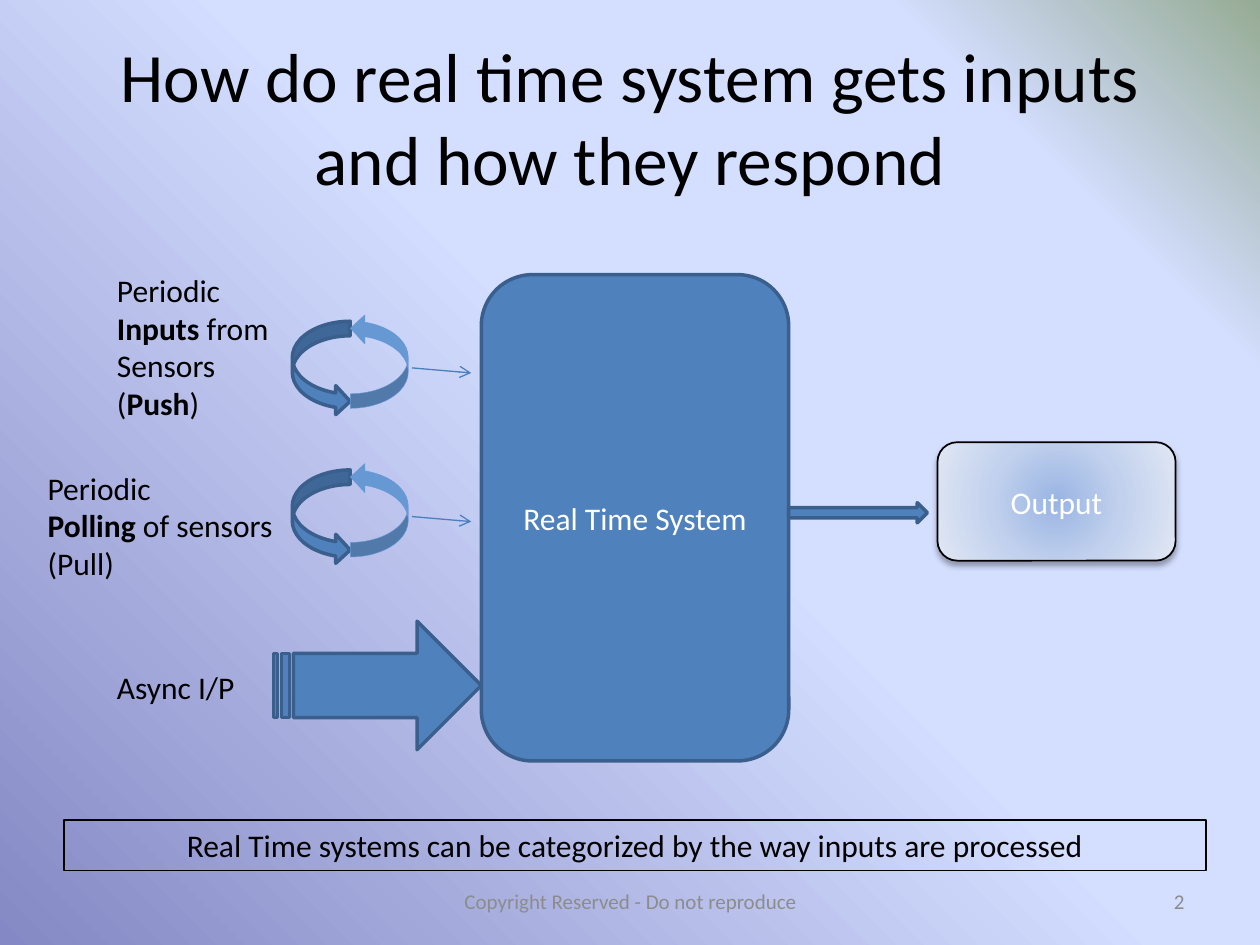
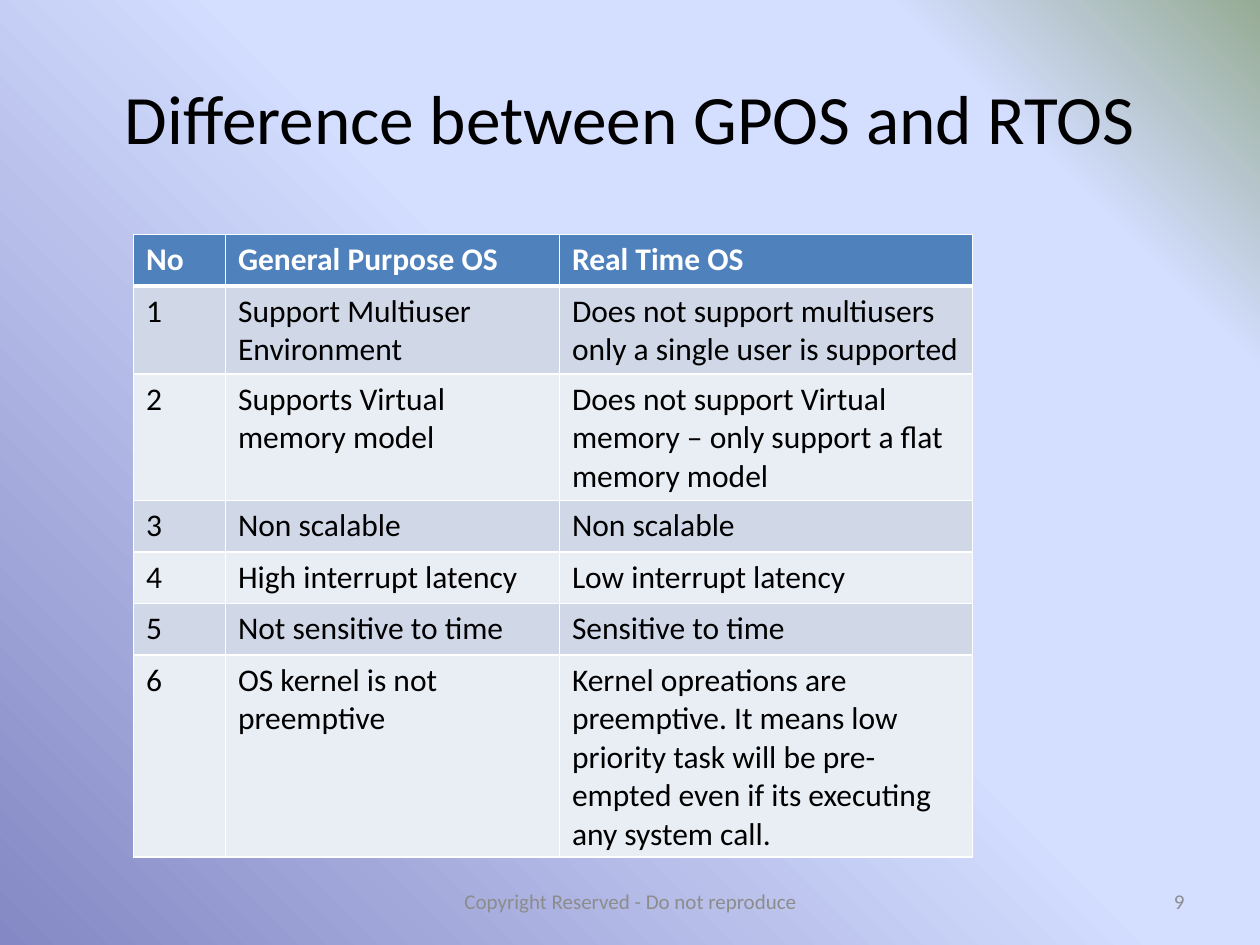
"""Two slides about real time systems: how inputs arrive, and GPOS against RTOS."""
from dataclasses import dataclass

from lxml import etree
from pptx import Presentation
from pptx.dml.color import RGBColor
from pptx.enum import shapes, text
from pptx.oxml import ns
from pptx.util import Inches, Pt

FONT = "Calibri"
COLORS = {
    "black": "000000", "white": "FFFFFF", "footer": "8C8C8C",
    "blue": "4F81BD", "outline": "3A5F8C", "return": "6698D4",
    "link": "4B7EBC", "band_odd": "D0D8E8", "band_even": "E9EDF4",
}
BACKGROUND = [(0, "8488C4"), (53, "D4DEFF"), (83, "D4DEFF"), (100, "96AB94")]
OUTPUT_GLOW = [(0, "9AB5E4"), (50, "C2D1ED"), (100, "E1E8F5")]
SHAPE = shapes.MSO_SHAPE
LEFT, CENTER, RIGHT = (text.PP_ALIGN.LEFT, text.PP_ALIGN.CENTER,
                       text.PP_ALIGN.RIGHT)
TOP, MIDDLE = text.MSO_ANCHOR.TOP, text.MSO_ANCHOR.MIDDLE


@dataclass(frozen=True)
class Box:
    """A rectangle in inches."""
    left: float
    top: float
    width: float
    height: float

    def lengths(self) -> tuple:
        """Return left, top, width and height as lengths."""
        return tuple(Inches(v) for v in
                     (self.left, self.top, self.width, self.height))


@dataclass(frozen=True)
class Style:
    """How a text looks."""
    size: float = 18
    color: str = "black"
    align: int = LEFT
    anchor: int = TOP
    bold: bool = False


@dataclass(frozen=True)
class InputLabel:
    """A label beside an input; each line is a list of (words, bold)."""
    box: Box
    lines: list


TITLE = Style(39.6, align=CENTER, anchor=MIDDLE)
FOOTER = Style(12, "footer", CENTER, MIDDLE)
PAGE_NUMBER = Style(12, "footer", RIGHT, MIDDLE)
ON_SHAPE = Style(color="white", align=CENTER, anchor=MIDDLE)
HEADER = Style(color="white", bold=True)

LABELS = [
    InputLabel(Box(0.83, 2.1, 1.41, 1.31), [
        [("Periodic", False)],
        [("Inputs", True), (" from", False)],
        [("Sensors", False)],
        [("(", False), ("Push", True), (")", False)]]),
    InputLabel(Box(0.28, 3.67, 2, 1.01), [
        [("Periodic", False)],
        [("Polling", True), (" of sensors", False)],
        [("(Pull)", False)]]),
    InputLabel(Box(0.83, 5.25, 1.14, 0.4), [[("Async I/P", False)]]),
]
CYCLE_TOPS = (2.49, 3.67)
COLUMN_WIDTHS = (0.73, 2.65, 3.28)
ROW_HEIGHT = 0.41
COMPARISON = [
    ("No", "General Purpose OS", "Real Time OS"),
    ("1", "Support Multiuser Environment",
     "Does not support multiusers only a single user is supported"),
    ("2", "Supports Virtual memory model",
     "Does not support Virtual memory – only support a flat memory model"),
    ("3", "Non scalable", "Non scalable"),
    ("4", "High interrupt latency", "Low interrupt latency"),
    ("5", "Not sensitive to time", "Sensitive to time"),
    ("6", "OS kernel is not preemptive",
     "Kernel opreations are preemptive. It means low priority task will be "
     "pre-empted even if its executing any system call."),
]


def rgb(name: str) -> RGBColor:
    """Look up a named colour."""
    return RGBColor.from_string(COLORS[name])


def child(parent, tag: str, **attributes):
    """Append a DrawingML element to a parent."""
    return etree.SubElement(parent, ns.qn(f"a:{tag}"),
                            {k: str(v) for k, v in attributes.items()})


def set_gradient(fill, owner, stops: list, angle: int | None = None) -> None:
    """Fill with stops, along an angle or outwards from the centre."""
    fill.gradient()
    gradient = next(owner.iter(ns.qn("a:gradFill")))
    for old in list(gradient):
        gradient.remove(old)
    stop_list = child(gradient, "gsLst")
    for position, color in stops:
        stop = child(stop_list, "gs", pos=position * 1000)
        child(stop, "srgbClr", val=color)
    if angle is None:
        circle = child(gradient, "path", path="circle")
        child(circle, "fillToRect", l=50000, t=50000, r=50000, b=50000)
    else:
        child(gradient, "lin", ang=angle * 60000, scaled=0)


def write(frame, lines: list, style: Style) -> None:
    """Write lines of (words, bold) runs into a text frame."""
    frame.vertical_anchor = style.anchor
    for index, line in enumerate(lines):
        paragraph = frame.add_paragraph() if index else frame.paragraphs[0]
        paragraph.alignment = style.align
        for words, bold in line:
            run = paragraph.add_run()
            run.text = words
            run.font.name, run.font.size = FONT, Pt(style.size)
            run.font.bold = bold
            run.font.color.rgb = rgb(style.color)


def add_text(slide, box: Box, lines: list, style: Style, wrap: bool = True):
    """Add a text box."""
    area = slide.shapes.add_textbox(*box.lengths())
    area.text_frame.word_wrap = wrap
    write(area.text_frame, lines, style)
    return area


def add_block(slide, kind, box: Box, label: str = "", fill: str = "blue",
              line: str = "outline", weight: float = 2):
    """Add a flat preset shape, with a centred label if one is given."""
    block = slide.shapes.add_shape(kind, *box.lengths())
    block.shadow.inherit = False
    block.fill.solid()
    block.fill.fore_color.rgb = rgb(fill)
    block.line.color.rgb = rgb(line)
    block.line.width = Pt(weight)
    if label:
        write(block.text_frame, [[(label, False)]], ON_SHAPE)
    return block


def add_cycle(slide, top: float) -> None:
    """Draw two curved arrows chasing each other and a link to the system."""
    add_block(slide, SHAPE.CURVED_RIGHT_ARROW, Box(2.32, top + 0.06, 0.46, 0.75))
    back = add_block(slide, SHAPE.CURVED_RIGHT_ARROW,
                     Box(2.78, top, 0.46, 0.75), fill="return",
                     line="return", weight=0.25)
    back.rotation = 180
    link = slide.shapes.add_connector(
        shapes.MSO_CONNECTOR.STRAIGHT, Inches(3.27), Inches(top + 0.43),
        Inches(3.74), Inches(top + 0.47))
    link.line.color.rgb = rgb("link")
    link.line.width = Pt(0.75)
    properties = link.element.spPr
    child(properties.find(ns.qn("a:ln")), "tailEnd", type="arrow")
    child(properties, "effectLst")


def add_output(slide) -> None:
    """Draw the glowing output box with its soft shadow."""
    output = add_block(slide, SHAPE.ROUNDED_RECTANGLE,
                       Box(7.44, 3.51, 1.89, 0.94), "Output", line="black",
                       weight=1)
    properties = output.element.spPr
    set_gradient(output.fill, properties, OUTPUT_GLOW)
    shadow = child(properties.find(ns.qn("a:effectLst")), "outerShdw",
                   blurRad=Pt(3.5), dist=Pt(2.2), dir=90 * 60000,
                   rotWithShape=0)
    child(child(shadow, "srgbClr", val=COLORS["black"]), "alpha", val=32000)


def add_borders(cell, row: int) -> None:
    """Give a cell white borders, heavier below the header."""
    properties = cell._tc.get_or_add_tcPr()
    for side in "LRTB":
        heavy = (row, side) in ((0, "B"), (1, "T"))
        border = child(properties, f"ln{side}", w=Pt(3 if heavy else 1))
        child(child(border, "solidFill"), "srgbClr", val=COLORS["white"])


def add_comparison(slide) -> None:
    """Draw the table of operating system differences."""
    box = Box(1.06, 1.86, sum(COLUMN_WIDTHS), ROW_HEIGHT * len(COMPARISON))
    table = slide.shapes.add_table(len(COMPARISON), len(COLUMN_WIDTHS),
                                   *box.lengths()).table
    for column, width in zip(table.columns, COLUMN_WIDTHS):
        column.width = Inches(width)
    for row, entries in enumerate(COMPARISON):
        table.rows[row].height = Inches(ROW_HEIGHT)
        style = Style() if row else HEADER
        band = ("band_odd" if row % 2 else "band_even") if row else "blue"
        for column, words in enumerate(entries):
            cell = table.cell(row, column)
            add_borders(cell, row)
            cell.fill.solid()
            cell.fill.fore_color.rgb = rgb(band)
            write(cell.text_frame, [[(words, style.bold)]], style)


def start_slide(deck, title: str, number: int):
    """Add a slide with the shared background, title and footer."""
    slide = deck.slides.add_slide(deck.slide_layouts[6])
    set_gradient(slide.background.fill, slide.element, BACKGROUND, 315)
    for box, words, style in (
            (Box(0.5, 0.3, 9, 1.25), title, TITLE),
            (Box(3.42, 6.95, 3.17, 0.4),
             "Copyright Reserved - Do not reproduce", FOOTER),
            (Box(7.17, 6.95, 2.33, 0.4), str(number), PAGE_NUMBER)):
        add_text(slide, box, [[(words, False)]], style)
    return slide


def build_inputs(deck) -> None:
    """Build the slide on inputs and responses."""
    slide = start_slide(
        deck, "How do real time system gets inputs and how they respond", 2)
    add_block(slide, SHAPE.ROUNDED_RECTANGLE, Box(3.82, 2.18, 2.44, 3.86),
              "Real Time System")
    for top in CYCLE_TOPS:
        add_cycle(slide, top)
    for label in LABELS:
        add_text(slide, label.box, label.lines, Style(), wrap=False)
    add_output(slide)
    add_block(slide, SHAPE.RIGHT_ARROW, Box(6.26, 3.99, 1.1, 0.16))
    summary = "Real Time systems can be categorized by the way inputs are processed"
    caption = add_text(slide, Box(0.51, 6.51, 9.06, 0.4),
                       [[(summary, False)]], Style(align=CENTER))
    caption.line.color.rgb = rgb("black")
    caption.line.width = Pt(1)
    add_block(slide, SHAPE.STRIPED_RIGHT_ARROW, Box(2.17, 4.93, 1.65, 1.02))


def main() -> None:
    """Build and save the deck."""
    deck = Presentation()
    deck.slide_width, deck.slide_height = Inches(10), Inches(7.5)
    build_inputs(deck)
    add_comparison(start_slide(deck, "Difference between GPOS and RTOS", 9))
    deck.save("out.pptx")


main()
